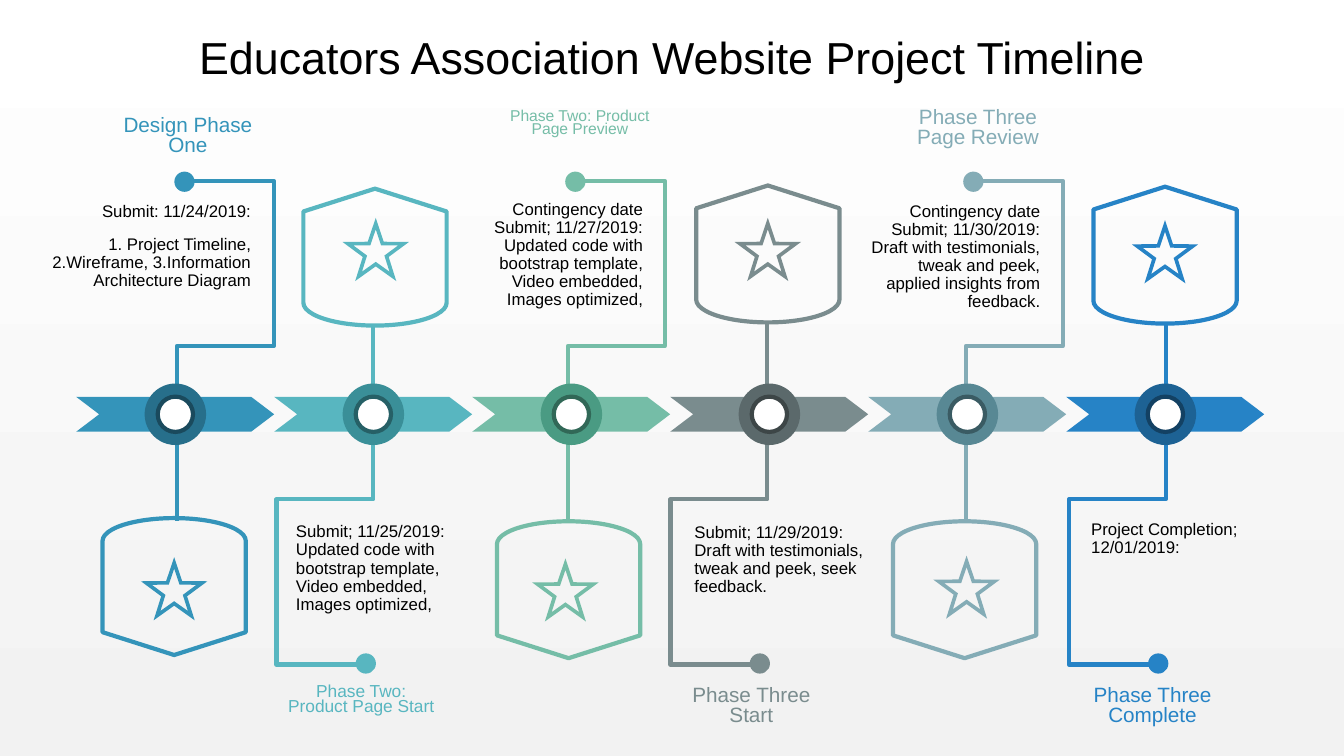
"""Build a six-phase project timeline slide."""
import collections
import math

import lxml.etree
import pptx
import pptx.dml.color
import pptx.enum.shapes
import pptx.enum.text
import pptx.oxml.ns
import pptx.util

Cm = pptx.util.Cm
Pt = pptx.util.Pt
RGBColor = pptx.dml.color.RGBColor
qn = pptx.oxml.ns.qn
SHAPE = pptx.enum.shapes.MSO_SHAPE
ALIGN = pptx.enum.text.PP_ALIGN
ANCHOR = pptx.enum.text.MSO_ANCHOR

BLACK = RGBColor(0x00, 0x00, 0x00)
WHITE = RGBColor(0xFF, 0xFF, 0xFF)
PALE = RGBColor(0xF2, 0xF2, 0xF2)
BLUE, BLUE_RING, BLUE_RIM = (
    RGBColor(0x34, 0x94, 0xBA), RGBColor(0x27, 0x6F, 0x8B), RGBColor(0x1A, 0x4A, 0x5D))
TEAL, TEAL_RING, TEAL_RIM = (
    RGBColor(0x58, 0xB6, 0xC0), RGBColor(0x3A, 0x8F, 0x98), RGBColor(0x26, 0x60, 0x66))
GREEN, GREEN_RING, GREEN_RIM = (
    RGBColor(0x75, 0xBD, 0xA7), RGBColor(0x4A, 0x9B, 0x83), RGBColor(0x31, 0x68, 0x57))
GREY, GREY_RING, GREY_RIM = (
    RGBColor(0x7A, 0x8C, 0x8E), RGBColor(0x5B, 0x69, 0x6B), RGBColor(0x3D, 0x46, 0x47))
STEEL, STEEL_RING, STEEL_RIM = (
    RGBColor(0x84, 0xAC, 0xB6), RGBColor(0x58, 0x88, 0x94), RGBColor(0x3A, 0x5B, 0x63))
ROYAL, ROYAL_RING, ROYAL_RIM = (
    RGBColor(0x26, 0x83, 0xC6), RGBColor(0x1D, 0x62, 0x94), RGBColor(0x13, 0x41, 0x63))

AXIS, BAND, PITCH = 10.65, 10.44, 4.99
LINE = Pt(3)

Phase = collections.namedtuple(
    "Phase", "hue ring rim stem shield star label head size tight note text")
PHASES = [
    Phase(BLUE, BLUE_RING, BLUE_RIM, 4.45, (4.39, 14.78), (4.39, 14.92),
          (2.59, 2.82), "Design Phase One", 14.8, 0.8, (0.33, 5, 6.25),
          ["Submit: 11/24/2019:",
           "1. Project Timeline, 2.Wireframe, 3.Information Architecture Diagram"]),
    Phase(TEAL, TEAL_RING, TEAL_RIM, 9.42, (9.45, 6.48), (9.47, 6.37),
          (6.96, 17.17), "Phase Two: Product Page Start", 12.4, 0.7, (7.21, 13.06, 4.98),
          ["Submit; 11/25/2019: Updated code with bootstrap template, "
           "Video embedded, Images optimized,"]),
    Phase(GREEN, GREEN_RING, GREEN_RIM, 14.3, (14.33, 14.86), (14.25, 14.95),
          (12.47, 2.67), "Phase Two: Product Page Preview", 11.2, 0.7, (11.48, 4.93, 4.98),
          ["Contingency date Submit; 11/27/2019: Updated code with bootstrap "
           "template, Video embedded, Images optimized,"]),
    Phase(GREY, GREY_RING, GREY_RIM, 19.35, (19.35, 6.4), (19.35, 6.37),
          (16.79, 17.17), "Phase Three Start", 14.8, 0.8, (17.25, 13.08, 4.98),
          ["Submit; 11/29/2019: Draft with testimonials, tweak and peek, seek feedback."]),
    Phase(STEEL, STEEL_RING, STEEL_RIM, 24.33, (24.31, 14.86), (24.36, 14.88),
          (22.5, 2.62), "Phase Three Page Review", 14.8, 0.8, (21.49, 4.98, 4.98),
          ["Contingency date Submit; 11/30/2019: Draft with testimonials, "
           "tweak and peek, applied insights from feedback."]),
    Phase(ROYAL, ROYAL_RING, ROYAL_RIM, 29.39, (29.36, 6.43), (29.36, 6.43),
          (26.9, 17.17), "Phase Three Complete", 14.8, 0.8, (27.25, 13, 4.98),
          ["Project Completion; 12/01/2019:"]),
]


def style(item, form):
    """Set each named value on an item."""
    for name, value in form.items():
        setattr(item, name, value)


def paint(shape, fill=None, line=None):
    """Give a shape its fill and outline and take its shadow away."""
    shape.shadow.inherit = False
    if fill is None:
        shape.fill.background()
    else:
        shape.fill.solid()
        shape.fill.fore_color.rgb = fill
    if line is None:
        shape.line.fill.background()
    else:
        shape.line.color.rgb = line
        shape.line.width = LINE


def preset(slide, kind, mid, size, turn=0, **paints):
    """Add a preset shape around its middle point."""
    (x, y), (w, h) = mid, size
    shape = slide.shapes.add_shape(kind, Cm(x - w / 2), Cm(y - h / 2), Cm(w), Cm(h))
    shape.rotation = turn
    paint(shape, **paints)


def elbow(slide, mid, size, turn, bend, hue, flip=False):
    """Add a turned elbow connector around its middle point."""
    (x, y), (w, h) = mid, size
    link = slide.shapes.add_connector(
        pptx.enum.shapes.MSO_CONNECTOR.ELBOW,
        Cm(x - w / 2), Cm(y - h / 2), Cm(x + w / 2), Cm(y + h / 2))
    link.line.color.rgb = hue
    link.line.width = LINE
    props = link._element.spPr
    frame = props.find(qn("a:xfrm"))
    frame.set("rot", str(turn * 60000))
    if flip:
        frame.set("flipH", "1")
    guides = props.find(qn("a:prstGeom")).find(qn("a:avLst"))
    lxml.etree.SubElement(guides, qn("a:gd"), name="adj1", fmla=f"val {bend}")
    lxml.etree.SubElement(props, qn("a:effectLst"))


def outline(slide, loops, hue):
    """Add a filled freeform from closed loops of points."""
    loops = [[(Cm(x), Cm(y)) for x, y in loop] for loop in loops]
    build = slide.shapes.build_freeform(*loops[0][0])
    build.add_line_segments(loops[0][1:])
    for loop in loops[1:]:
        build.move_to(*loop[0])
        build.add_line_segments(loop[1:])
    paint(build.convert_to_shape(), fill=hue)


def spikes(mid, far):
    """Return the ten corners of a five-pointed star."""
    corners = []
    for step in range(10):
        reach = far if step % 2 == 0 else far * 0.39
        angle = math.pi * step / 5
        corners.append((mid[0] + reach * math.sin(angle), mid[1] - reach * math.cos(angle)))
    return corners


def write(frame, lines, font, para):
    """Fill a text frame with formatted paragraphs."""
    frame.text = "\n".join(lines)
    style(frame, {"word_wrap": True, "auto_size": pptx.enum.text.MSO_AUTO_SIZE.NONE})
    hue = font.pop("hue")
    for part in frame.paragraphs:
        style(part, para)
        for run in part.runs:
            style(run.font, {"name": "Arial", **font})
            run.font.color.rgb = hue


def text(slide, box, lines, font, para):
    """Add a top-anchored text box."""
    frame = slide.shapes.add_textbox(*map(Cm, box)).text_frame
    frame.vertical_anchor = ANCHOR.TOP
    write(frame, lines, font, {"space_before": Pt(10), **para})


def route(slide, phase, side):
    """Draw the stem, its tip and its dot; side is -1 above and 1 below."""
    x = phase.stem
    elbow(slide, (x - side * 1.23, AXIS + side * 0.63), (6.22, 2.44),
          180 + side * 90, 29100, phase.hue)
    elbow(slide, (x - side * 1.41, AXIS + side * 4.89), (2.34, 2.08),
          180 - side * 90, -1500, phase.hue, flip=True)
    preset(slide, SHAPE.OVAL, (x - side * 0.2, AXIS + side * 6.07), (0.51, 0.51), fill=phase.hue)


def arrow(slide, phase, left):
    """Draw one notched arrow of the band with its ringed node."""
    right, high, low = left + PITCH, BAND - 0.44, BAND + 0.44
    outline(slide, [[(left, high), (right - 0.58, high), (right, BAND),
                     (right - 0.58, low), (left, low), (left + 0.58, BAND)]], phase.hue)
    mid = (left + 2.5, BAND)
    preset(slide, SHAPE.OVAL, mid, (1.55, 1.55), fill=phase.ring)
    preset(slide, SHAPE.OVAL, mid, (0.89, 0.89), fill=WHITE, line=phase.rim)


def badge(slide, phase, side):
    """Draw the shield and its hollow star."""
    preset(slide, SHAPE.FLOWCHART_DISPLAY, phase.shield, (3.45, 3.61),
           turn=180 + side * 90, line=phase.hue)
    outline(slide, [spikes(phase.star, 0.88), spikes(phase.star, 0.59)[::-1]], phase.hue)


def words(slide, phase, side):
    """Write the heading and the note of a phase."""
    text(slide, (*phase.label, 4.29, 1.32), [phase.head],
         {"size": Pt(phase.size), "hue": phase.hue},
         {"alignment": ALIGN.CENTER, "line_spacing": phase.tight})
    text(slide, (*phase.note, 3.23), phase.text, {"size": Pt(12), "hue": BLACK},
         {"alignment": ALIGN.RIGHT if side < 0 else ALIGN.LEFT, "line_spacing": 0.9})


def main():
    """Build and save the slide."""
    deck = pptx.Presentation()
    style(deck, {"slide_width": Cm(33.87), "slide_height": Cm(19.05)})
    slide = deck.slides.add_slide(deck.slide_layouts[5])
    back = slide.background.fill
    back.gradient()
    back.gradient_angle = 270
    for stop, hue in zip(back.gradient_stops, (WHITE, PALE)):
        stop.color.rgb = hue

    title = slide.shapes.title
    style(title, {"left": Cm(2.34), "top": Cm(0.69), "width": Cm(29.21), "height": Cm(1.63)})
    title.text_frame.vertical_anchor = ANCHOR.MIDDLE
    write(title.text_frame, ["Educators Association Website Project Timeline"],
          {"size": Pt(32), "hue": BLACK}, {"alignment": ALIGN.CENTER, "line_spacing": 0.9})

    sides = [-1, 1] * 3
    for phase, side in zip(PHASES, sides):
        route(slide, phase, side)
    for place, phase in enumerate(PHASES):
        arrow(slide, phase, 1.92 + place * PITCH)
    for phase, side in zip(PHASES, sides):
        badge(slide, phase, -side)
        words(slide, phase, side)
    deck.save("out.pptx")


if __name__ == "__main__":
    main()
